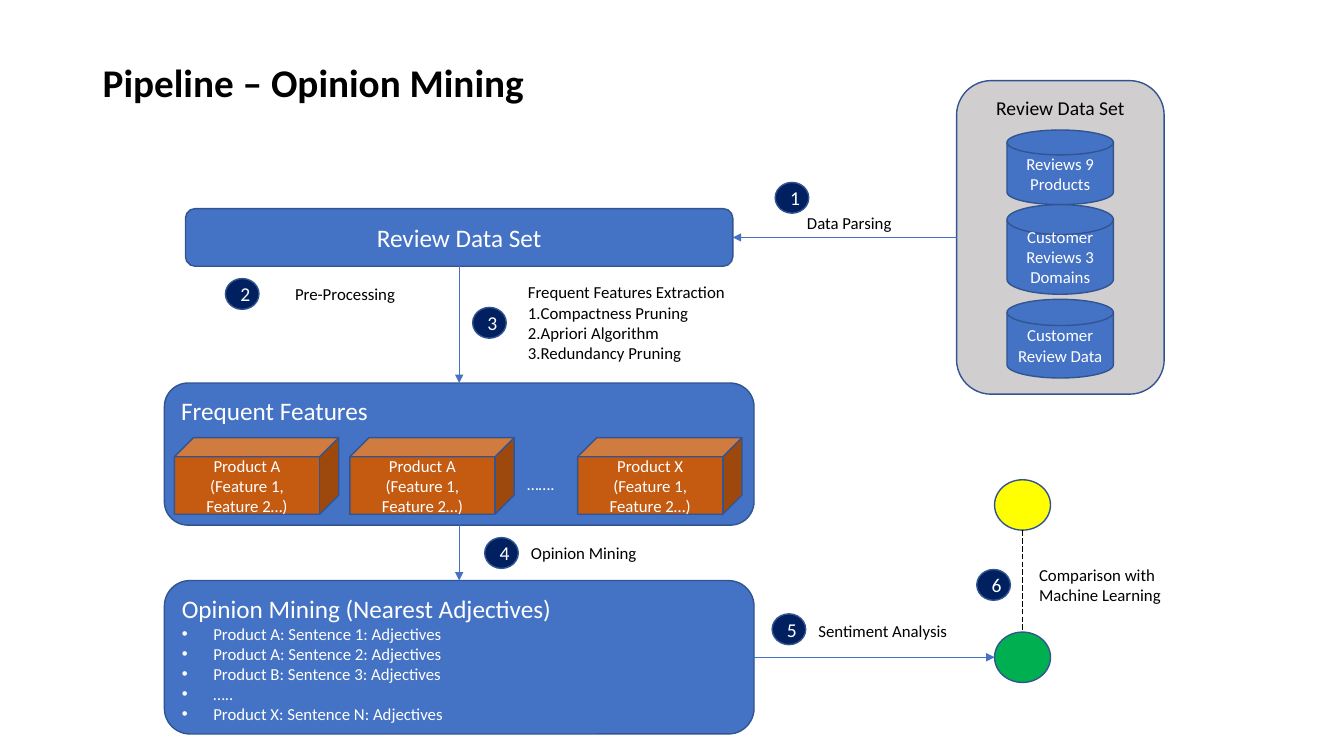
from dataclasses import dataclass
from pptx import Presentation
from pptx.util import Pt
from pptx.dml.color import RGBColor as Rgb
from pptx.enum.dml import MSO_LINE as Dash
from pptx.enum.shapes import MSO_CONNECTOR as Link, MSO_SHAPE as Form
from pptx.enum.text import MSO_ANCHOR as Anchor, MSO_AUTO_SIZE as Fit, PP_ALIGN as Align
from pptx.oxml.ns import qn
from lxml.etree import SubElement as Sub


@dataclass(frozen=True)
class Theme:
    font: str = "Calibri"
    blue: str = "4472C4"
    edge: str = "325491"
    navy: str = "002060"
    rust: str = "C55A11"
    gray: str = "D0CECE"
    lime: str = "00B050"
    gold: str = "FFFF00"
    ink: str = "000000"
    pale: str = "FFFFFF"
    title: int = 28
    head: int = 18
    mid: int = 14
    small: int = 12


T = Theme()
TOP, LEFT, BASE, RIGHT = range(4)


def place(box, x, y, w, h):
    return box[0] + x, box[1] + y, w, h


def style(par, size, color, align=Align.LEFT, bold=False):
    par.alignment = align
    for run in par.runs:
        font = run.font
        font.name, font.size, font.bold = T.font, Pt(size), bold
        font.color.rgb = Rgb.from_string(color)


def write(frame, text, size, color, align=Align.CENTER, anchor=Anchor.MIDDLE):
    frame.text = text
    frame.word_wrap = True
    frame.vertical_anchor = anchor
    for par in frame.paragraphs:
        style(par, size, color, align)


def bullet(par, left, hang, tag, **marks):
    props = par._p.get_or_add_pPr()
    props.set("marL", str(Pt(left)))
    props.set("indent", str(Pt(-hang)))
    if tag == "a:buChar":
        Sub(props, qn("a:buFont"), typeface="Arial")
    Sub(props, qn(tag), **marks)


def block(slide, form, box, fill):
    shape = slide.shapes.add_shape(form, *map(Pt, box))
    shape.shadow.inherit = False
    shape.fill.solid()
    shape.fill.fore_color.rgb = Rgb.from_string(fill)
    shape.line.color.rgb = Rgb.from_string(T.edge)
    shape.line.width = Pt(1)
    return shape


def label(slide, box, text, color=T.ink, align=Align.LEFT):
    frame = slide.shapes.add_textbox(*map(Pt, box)).text_frame
    write(frame, text, T.small, color, align, Anchor.TOP)
    return frame


def join(slide, start, out, end, into, color=T.blue, arrow=True):
    line = slide.shapes.add_connector(Link.STRAIGHT, 0, 0, 0, 0)
    line.begin_connect(start, out)
    line.end_connect(end, into)
    ends = line._element.nvCxnSpPr.cNvCxnSpPr
    for shape, site in ((start, ends.stCxn), (end, ends.endCxn)):
        if shape.auto_shape_type == Form.OVAL:
            site.set("idx", str(int(site.get("idx")) * 2))
    line.line.color.rgb = Rgb.from_string(color)
    line.line.width = Pt(0.5)
    if arrow:
        Sub(line.line._get_or_add_ln(), qn("a:tailEnd"), type="triangle")
    else:
        line.line.dash_style = Dash.LONG_DASH
    Sub(line._element.spPr, qn("a:effectLst"))


def heading(slide, box):
    title = slide.shapes.title
    title.left, title.top, title.width, title.height = map(Pt, box)
    frame = title.text_frame
    write(frame, "Pipeline – Opinion Mining", T.title, T.ink, Align.LEFT)
    frame.auto_size = Fit.NONE
    par = frame.paragraphs[0]
    par.line_spacing = 0.9
    style(par, T.title, T.ink, bold=True)


def store(slide, box):
    panel = block(slide, Form.ROUNDED_RECTANGLE, box, T.gray)
    write(panel.text_frame, "Review Data Set", T.mid, T.ink, anchor=Anchor.TOP)
    for text, y, high in (
        ("Reviews 9 Products", 35.3, 53.3),
        ("Customer Reviews 3 Domains", 88.6, 64),
        ("Customer Review Data", 156.2, 56.2),
    ):
        disk = block(slide, Form.FLOWCHART_MAGNETIC_DISK, place(box, 36, y, 76, high), T.blue)
        write(disk.text_frame, text, T.small, T.pale)
    return panel


def review(slide, box):
    bar = block(slide, Form.ROUNDED_RECTANGLE, box, T.blue)
    write(bar.text_frame, "Review Data Set", T.head, T.pale)
    return bar


def features(slide, box):
    panel = block(slide, Form.ROUNDED_RECTANGLE, box, T.blue)
    write(panel.text_frame, "Frequent Features", T.head, T.pale, Align.LEFT, Anchor.TOP)
    for name, x in (("A", 7.2), ("A", 132.5), ("X", 295.2)):
        cube = block(slide, Form.CUBE, place(box, x, 39, 117.4, 54.7), T.rust)
        write(cube.text_frame, f"Product {name}\n(Feature 1, Feature 2…)", T.small, T.pale)
    label(slide, place(box, 234.7, 61.2, 68.4, 21.6), "…….", T.pale, Align.CENTER)
    return panel


def opinion(slide, box):
    panel = block(slide, Form.ROUNDED_RECTANGLE, box, T.blue)
    items = [f"Product {name}: Sentence {num}: Adjectives"
             for name, num in (("A", 1), ("A", 2), ("B", 3), ("X", "N"))]
    items.insert(3, "…..")
    text = "\n".join(["Opinion Mining (Nearest Adjectives)"] + items)
    write(panel.text_frame, text, T.small, T.pale, Align.LEFT, Anchor.TOP)
    first, *rest = panel.text_frame.paragraphs
    style(first, T.head, T.pale)
    for par in rest:
        bullet(par, 22.5, 22.5, "a:buChar", char="•")
    return panel


def result(slide, box):
    gold = block(slide, Form.OVAL, place(box, 0, 0, 40, 36), T.gold)
    lime = block(slide, Form.OVAL, place(box, 0, box[3] - 36, 40, 36), T.lime)
    join(slide, gold, BASE, lime, TOP, T.ink, False)
    return lime


def step(slide, box, num, x, y, text, align):
    badge = block(slide, Form.OVAL, place(box, x, y, 24, 22), T.navy)
    write(badge.text_frame, str(num), T.mid, T.pale)
    frame = label(slide, box, text, align=align)
    for par in frame.paragraphs[1:]:
        bullet(par, 0, 18, "a:buAutoNum", type="arabicPeriod")


STEPS = (
    ((550.8, 148.3, 111.6, 21.6), 2.9, -18, "Data Parsing", Align.CENTER),
    ((185, 199, 123, 21.6), -24, 0, "Pre-Processing", Align.CENTER),
    ((370, 198, 193, 65.5), -32.4, 21.6,
     "Frequent Features Extraction\nCompactness Pruning\nApriori Algorithm\nRedundancy Pruning",
     Align.LEFT),
    ((372.2, 384, 158.4, 21.6), -26, 0, "Opinion Mining", Align.LEFT),
    ((577.5, 440, 119.5, 21.6), -26, -1.5, "Sentiment Analysis", Align.LEFT),
    ((735.1, 399.6, 119.5, 36), -37.4, 7.2, "Comparison with Machine Learning", Align.LEFT),
)


def build():
    deck = Presentation()
    deck.slide_width, deck.slide_height = Pt(960), Pt(540)
    slide = deck.slides.add_slide(deck.slide_layouts[5])
    heading(slide, (66.2, 28.8, 828, 64))
    data = store(slide, (683.3, 57.6, 148.3, 224))
    bar = review(slide, (132.5, 149, 391, 41.2))
    freq = features(slide, (117.4, 273.6, 421.2, 101.5))
    mined = opinion(slide, (117.4, 414.7, 421.2, 109.6))
    goal = result(slide, (710.4, 342.7, 40, 144.8))
    for start, out, end, into in (
        (data, LEFT, bar, RIGHT),
        (bar, BASE, freq, TOP),
        (freq, BASE, mined, TOP),
        (mined, RIGHT, goal, LEFT),
    ):
        join(slide, start, out, end, into)
    for num, (box, *rest) in enumerate(STEPS, 1):
        step(slide, box, num, *rest)
    deck.save("out.pptx")


build()
